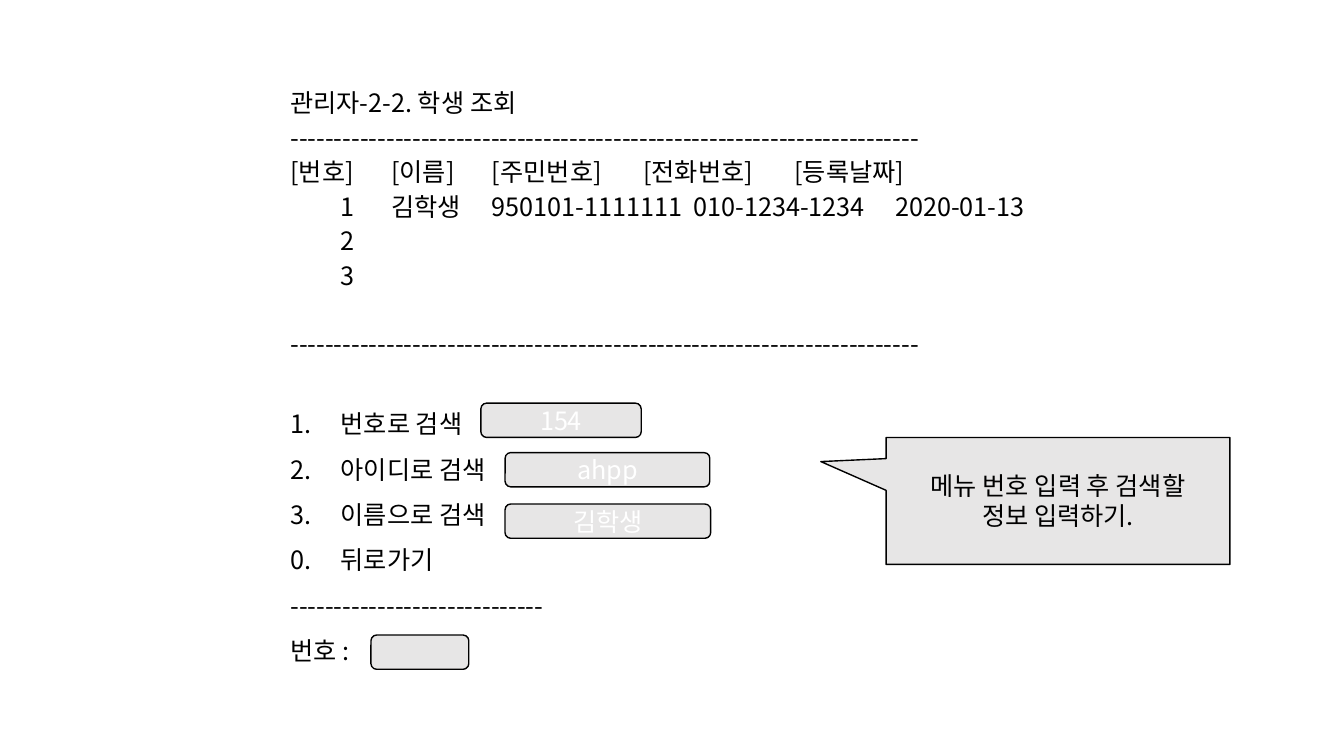
from pptx import Presentation
from pptx.dml.color import RGBColor
from pptx.enum.shapes import MSO_SHAPE
from pptx.enum.text import MSO_ANCHOR, MSO_AUTO_SIZE, PP_ALIGN
from pptx.oxml.ns import qn
from pptx.util import Inches, Pt
from lxml.etree import SubElement

BLACK = RGBColor(0x00, 0x00, 0x00)
WHITE = RGBColor(0xFF, 0xFF, 0xFF)
GRAY = RGBColor(0xE7, 0xE6, 0xE6)
FONT = "Noto Sans CJK KR"
SLIDE_WIDTH, SLIDE_HEIGHT = Inches(13.33), Inches(7.5)
COLUMN, ROW = SLIDE_WIDTH / 100, SLIDE_HEIGHT / 100

TABLE_PITCH, MENU_PITCH, BOX_PITCH = Pt(24.6), Pt(32.4), Pt(21.4)
HEADER_TABS = (6.45, 13.8, 27, 40.73)
STUDENT_TABS = (0.9, 4.43, 11.1, 26.03, 41.33)
MENU_TABS = (2.85,)

TITLE = "관리자-2-2. 학생 조회"
RULE = "-" * 72
STUDENT_LINES = [
    (RULE, (), 0),
    ("[번호]\t[이름]\t[주민번호]\t[전화번호]\t[등록날짜]", HEADER_TABS, 0),
    ("\t1\t김학생\t950101-1111111\t010-1234-1234\t2020-01-13", STUDENT_TABS, 0),
    ("\t2", STUDENT_TABS, 0),
    ("\t3", STUDENT_TABS, 0),
    (RULE, (), TABLE_PITCH),
]
MENU_LINES = [
    ("1.\t번호로 검색", MENU_TABS, TABLE_PITCH),
    ("2.\t아이디로 검색", MENU_TABS, 0),
    ("3.\t이름으로 검색", MENU_TABS, 0),
    ("0.\t뒤로가기", MENU_TABS, 0),
    ("-" * 29, (), 0),
    ("번호 :", (), 0),
]
INPUT_BOXES = [
    ("", 27.6, 84, 7.28),
    ("154", 35.78, 53.33, 11.93),
    ("ahpp", 37.58, 59.87, 15.23),
    ("김학생", 37.58, 66.67, 15.3),
]
INPUT_HEIGHT = 4.53


def apply_format(target, values):
    """Set every attribute in values on the target."""
    for name, value in values.items():
        setattr(target, name, value)


def grid_box(left, top, width, height):
    """Turn grid columns and rows into slide lengths."""
    return {"left": round(left * COLUMN), "top": round(top * ROW),
            "width": round(width * COLUMN), "height": round(height * ROW)}


def write_line(paragraph, text, color, pitch, alignment=PP_ALIGN.LEFT, gap=0):
    """Write one formatted line of text into a paragraph."""
    apply_format(paragraph, {"alignment": alignment, "line_spacing": pitch,
                             "space_before": Pt(0) + gap, "space_after": Pt(0)})
    run = paragraph.add_run()
    run.text = text
    apply_format(run.font, {"name": FONT, "size": Pt(18), "bold": False})
    run.font.color.rgb = color
    SubElement(run.font._element, qn("a:ea"), typeface=FONT)


def set_tabs(paragraph, tabs):
    """Remove the bullet and indent, and set tab stops in grid columns."""
    properties = paragraph._p.get_or_add_pPr()
    properties.set("marL", "0")
    properties.set("indent", "0")
    SubElement(properties, qn("a:buNone"))
    if tabs:
        tab_list = SubElement(properties, qn("a:tabLst"))
        for tab in tabs:
            SubElement(tab_list, qn("a:tab"), pos=str(round(tab * COLUMN)), algn="l")


def place_text(placeholder, box):
    """Move a placeholder and give its frame a plain top-left layout."""
    apply_format(placeholder, box)
    apply_format(placeholder.text_frame, {
        "word_wrap": True, "auto_size": MSO_AUTO_SIZE.NONE,
        "vertical_anchor": MSO_ANCHOR.TOP})
    return placeholder.text_frame


def write_lines(frame, lines, pitch, color, alignment):
    """Write lines of text with one pitch into a frame, after its current text."""
    for text, tabs, gap in lines:
        paragraph = frame.paragraphs[-1]
        if paragraph.runs:
            paragraph = frame.add_paragraph()
        write_line(paragraph, text, color, pitch, alignment, gap)
        set_tabs(paragraph, tabs)


def add_box(slide, kind, box, lines, color):
    """Add a gray outlined shape with centred text."""
    shape = slide.shapes.add_shape(kind, *box.values())
    shape.shadow.inherit = False
    shape.fill.solid()
    shape.fill.fore_color.rgb = GRAY
    shape.line.color.rgb = BLACK
    shape.line.width = Pt(1)
    apply_format(shape.text_frame, {
        "word_wrap": True, "vertical_anchor": MSO_ANCHOR.MIDDLE,
        "margin_top": 0, "margin_bottom": 0})
    write_lines(shape.text_frame, [(line, (), 0) for line in lines],
                BOX_PITCH, color, PP_ALIGN.CENTER)
    return shape


def main():
    """Build the student search slide and save it."""
    presentation = Presentation()
    apply_format(presentation, {"slide_width": SLIDE_WIDTH, "slide_height": SLIDE_HEIGHT})
    slide = presentation.slides.add_slide(presentation.slide_layouts[1])

    title = place_text(slide.shapes.title, grid_box(20.85, 10.27, 58.43, 5.87))
    write_line(title.paragraphs[0], TITLE, BLACK, TABLE_PITCH)
    body = place_text(slide.placeholders[1], grid_box(20.85, 14.93, 58.43, 74.8))
    write_lines(body, STUDENT_LINES, TABLE_PITCH, BLACK, PP_ALIGN.LEFT)
    write_lines(body, MENU_LINES, MENU_PITCH, BLACK, PP_ALIGN.LEFT)

    for text, left, top, width in INPUT_BOXES:
        add_box(slide, MSO_SHAPE.ROUNDED_RECTANGLE,
                grid_box(left, top, width, INPUT_HEIGHT), [text] if text else [], WHITE)

    callout = add_box(slide, MSO_SHAPE.RECTANGULAR_CALLOUT,
                      grid_box(65.93, 57.87, 25.58, 16.8),
                      ["메뉴 번호 입력 후 검색할", "정보 입력하기."], BLACK)
    callout.adjustments[0] = -0.69
    callout.adjustments[1] = -0.31
    presentation.save("out.pptx")


main()
